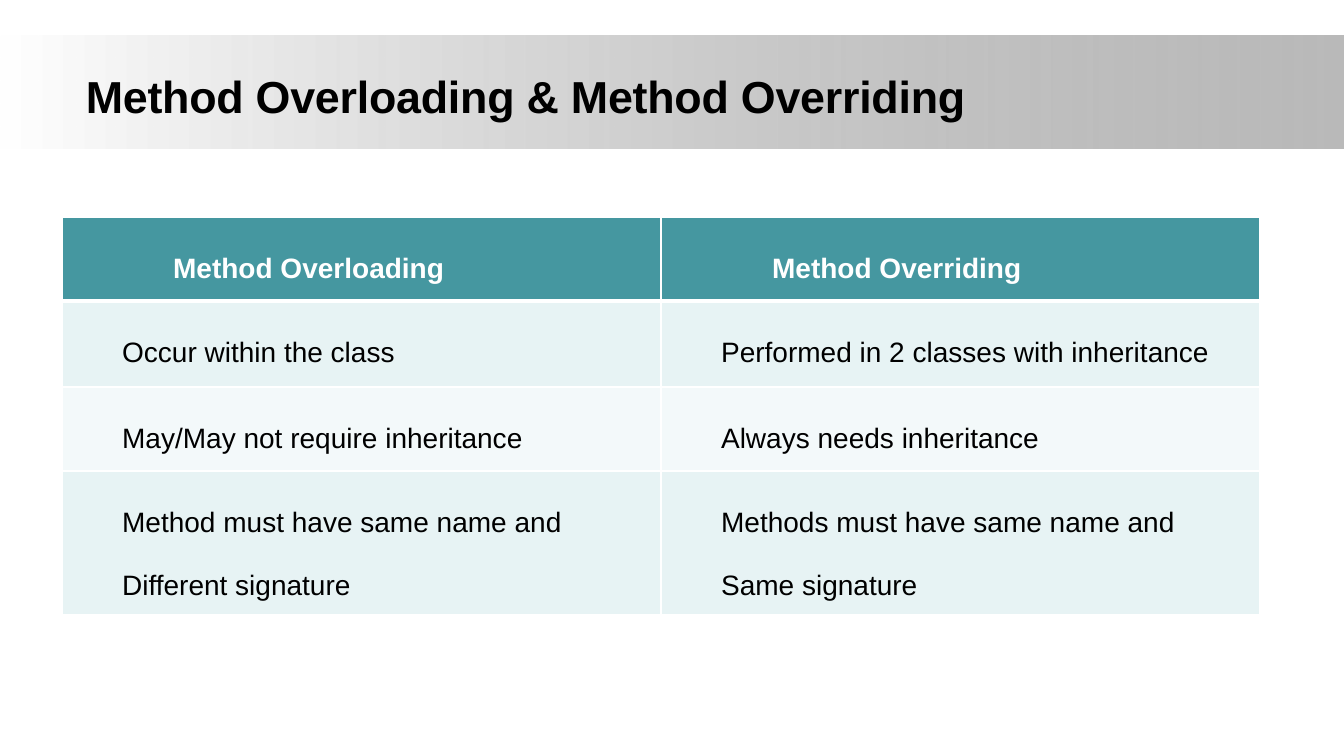
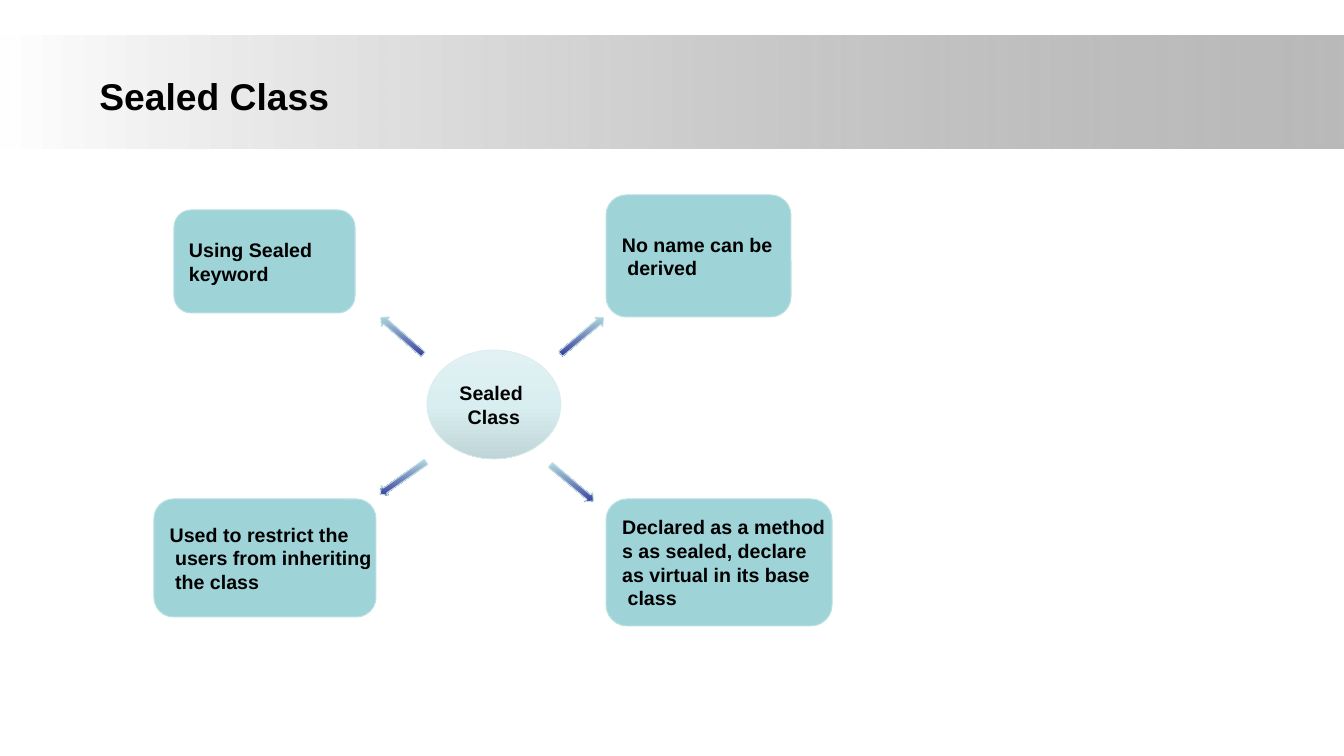
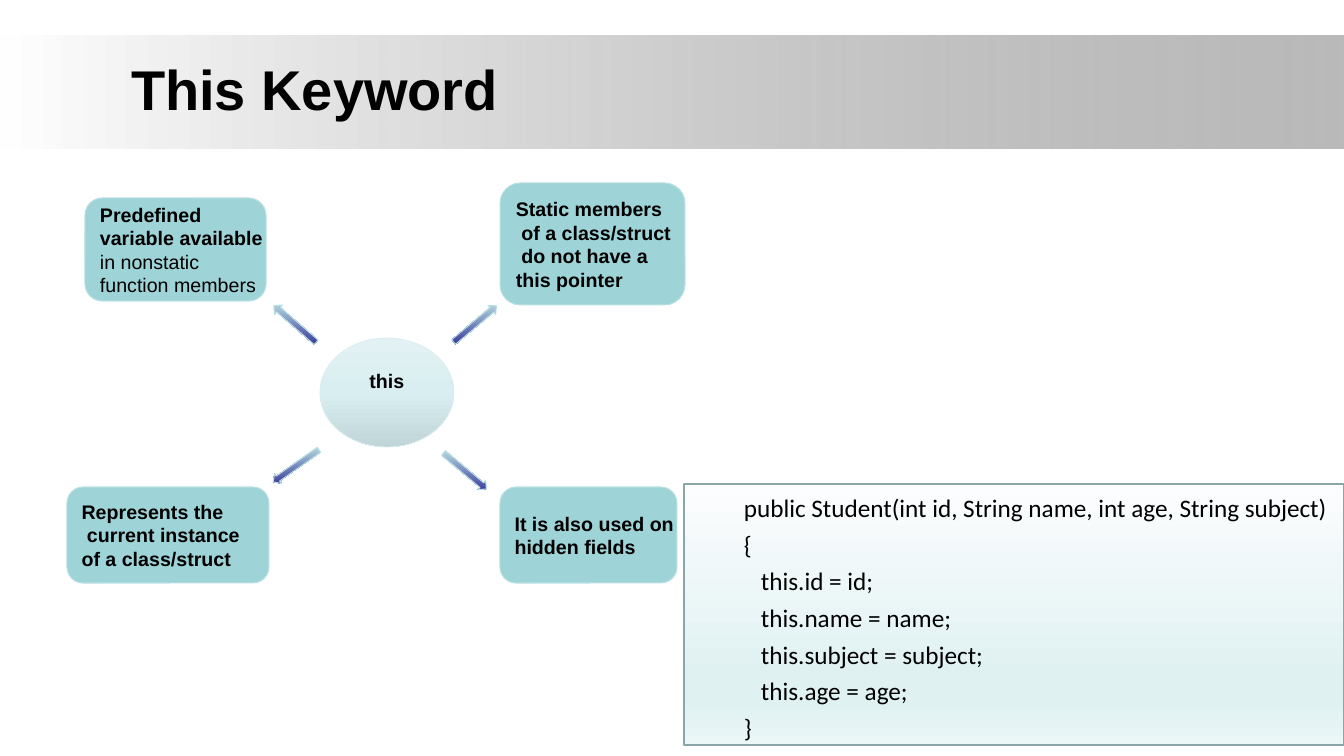
"""Builds three slides on method overloading, sealed classes and the this keyword."""
from dataclasses import dataclass

from lxml import etree
from pptx import Presentation
from pptx import util as u
from pptx.dml.color import RGBColor
from pptx.enum import shapes, text
from pptx.oxml import ns

PX = 9071


@dataclass(frozen=True)
class Theme:
    font: str = "Arial"
    code_font: str = "Calibri"
    ink: str = "000000"
    white: str = "FFFFFF"
    header: str = "4597A0"
    rows: tuple = ("E7F3F4", "F3F9FA")
    box: str = "9ED3D7"
    edge: str = "BBE0E3"
    hub_edge: str = "DAEDEF"
    code_edge: str = "8AA6A8"
    band: tuple = ((0, "FFFFFF", 100), (100, "808080", 54))
    hub: tuple = ((0, "E2F1F3", 100), (50, "D9EEF0", 100), (100, "BFD5D7", 100))
    arrow: tuple = ((0, "BBE0E3", 100), (100, "333399", 100))
    code: tuple = ((0, "FCFDFE", 100), (74, "E0F1F2", 100),
                   (83, "E0F1F2", 100), (100, "EBF6F7", 100))
    table_size: int = 20
    label_size: int = 14
    code_size: int = 18


theme = Theme()


def paint(shape, fill, edge=None, width=0.75, angle=270):
    """Fill a shape with a colour or gradient stops and set its outline."""
    shape.shadow.inherit = False
    if isinstance(fill, str):
        shape.fill.solid()
        shape.fill.fore_color.rgb = RGBColor.from_string(fill)
    else:
        shape.fill.gradient()
        shape.fill.gradient_angle = angle
        gradient = shape.element.spPr.find(ns.qn("a:gradFill"))
        gradient.set("rotWithShape", "0")
        stops = gradient.find(ns.qn("a:gsLst"))
        for old in list(stops):
            stops.remove(old)
        for position, color, opacity in fill:
            stop = etree.SubElement(stops, ns.qn("a:gs"), pos=str(position * 1000))
            value = etree.SubElement(stop, ns.qn("a:srgbClr"), val=color)
            if opacity < 100:
                etree.SubElement(value, ns.qn("a:alpha"), val=str(opacity * 1000))
    if edge:
        shape.line.color.rgb = RGBColor.from_string(edge)
        shape.line.width = u.Pt(width)
    else:
        shape.line.fill.background()


def write(frame, words, size, color=theme.ink, bold=True, font=theme.font,
          align=text.PP_ALIGN.LEFT, indent=0, spacing=None):
    """Put text into a frame and format every paragraph alike."""
    frame.text = words
    for para in frame.paragraphs:
        para.alignment = align
        if spacing:
            para.line_spacing = spacing
        if indent:
            para._p.get_or_add_pPr().set("marL", str(indent * PX))
        for span in para.runs:
            span.font.name = font
            span.font.size = u.Pt(size)
            span.font.bold = bold
            span.font.color.rgb = RGBColor.from_string(color)


deck = Presentation()
deck.slide_width, deck.slide_height = 1344 * PX, 756 * PX
layout = deck.slide_layouts[5]

titles = (
    ("Method Overloading & Method Overriding", 32, (62, 68, 927, 55)),
    ("Sealed Class", 26.6, (87, 56, 255, 79)),
    ("This Keyword", 40, (85, 37, 459, 103)),
)
pages = []
for words, size, place in titles:
    page = deck.slides.add_slide(layout)
    title = page.shapes.title
    title.left, title.top, title.width, title.height = [n * PX for n in place]
    frame = title.text_frame
    frame.auto_size = text.MSO_AUTO_SIZE.NONE
    frame.vertical_anchor = text.MSO_ANCHOR.MIDDLE
    frame.margin_left = frame.margin_right = frame.margin_top = frame.margin_bottom = 0
    write(frame, words, size, align=text.PP_ALIGN.CENTER)
    pages.append(page)
table_page, sealed_page, this_page = pages

heading = table_page.shapes.title.text_frame.paragraphs[0]
heading.space_before = u.Pt(1)
heading.runs[0]._r.get_or_add_rPr().set("spc", "-20")

band = table_page.shapes.add_shape(shapes.MSO_SHAPE.RECTANGLE, 0, 36 * PX, 1344 * PX, 113 * PX)
paint(band, theme.band, angle=0)
layout.placeholders[0].element.addprevious(band.element)

comparison = (
    ("Method Overloading", "Method Overriding"),
    ("Occur within the class", "Performed in 2 classes with inheritance"),
    ("May/May not require inheritance", "Always needs inheritance"),
    ("Method must have same name and Different signature",
     "Methods must have same name and Same signature"),
)
table = table_page.shapes.add_table(4, 2, 62 * PX, 217 * PX, 1198 * PX, 398 * PX).table
for row, height in zip(table.rows, (84, 86, 84, 144)):
    row.height = height * PX
for r, entries in enumerate(comparison):
    is_header = r == 0
    for c, words in enumerate(entries):
        cell = table.cell(r, c)
        write(cell.text_frame, words, theme.table_size, bold=is_header,
              color=theme.white if is_header else theme.ink,
              indent=101 if is_header else 50, spacing=2.0)
        properties = cell._tc.get_or_add_tcPr()
        for side, points in (("lnL", 1), ("lnR", 1), ("lnB", 3 if is_header else 1)):
            border = etree.SubElement(properties, ns.qn("a:" + side), w=str(u.Pt(points)))
            solid = etree.SubElement(border, ns.qn("a:solidFill"))
            etree.SubElement(solid, ns.qn("a:srgbClr"), val=theme.white)
        cell.fill.solid()
        cell.fill.fore_color.rgb = RGBColor.from_string(
            theme.header if is_header else theme.rows[(r - 1) % 2])

code_box = this_page.shapes.add_shape(
    shapes.MSO_SHAPE.RECTANGLE, 684 * PX, 484 * PX, 660 * PX, 261 * PX)
paint(code_box, theme.code, theme.code_edge, 1)
code_box.text_frame.word_wrap = True
code_lines = (
    "public Student(int id, String name, int age, String subject)", "{",
    "this.id = id;", "this.name = name;", "this.subject = subject;", "this.age = age;", "}",
)
write(code_box.text_frame, "\n".join(code_lines), theme.code_size, bold=False,
      font=theme.code_font, indent=50, spacing=1.2)
for para in code_box.text_frame.paragraphs:
    para.space_before = u.Pt(0.2)
    if para.text.startswith("this."):
        para._p.get_or_add_pPr().set("marL", str(67 * PX))

diagrams = (
    (sealed_page, (494, 404), "Sealed \nClass", 5, (
        ((174, 210, 181, 103), "Using Sealed\nkeyword"),
        ((606, 195, 185, 122), "No name can be\n derived"),
        ((606, 499, 226, 127),
         "Declared as a method\ns as sealed, declare\nas virtual in its base\n class"),
        ((154, 499, 222, 118), "Used to restrict the\n users from inheriting\n the class"),
    )),
    (this_page, (387, 392), "this", 28, (
        ((85, 198, 181, 103), "Predefined\nvariable available\nin nonstatic\nfunction members"),
        ((500, 183, 185, 122),
         "Static members\n of a class/struct\n do not have a\nthis pointer"),
        ((500, 487, 177, 96), "It is also used on\nhidden fields"),
        ((67, 487, 202, 96), "Represents the\n current instance\nof a class/struct"),
    )),
)
light_lines = ("in nonstatic", "function members")
arrows = ((-91, 74, 55), (88, -68, 230), (78, 79, 310), (-92, -68, 131))
for page, (x, y), hub_words, hub_margin, boxes in diagrams:
    for place, words in boxes:
        box = page.shapes.add_shape(
            shapes.MSO_SHAPE.ROUNDED_RECTANGLE, *[n * PX for n in place])
        paint(box, theme.box, theme.edge)
        box.text_frame.word_wrap = False
        write(box.text_frame, words, theme.label_size)
        for para in box.text_frame.paragraphs:
            if para.text in light_lines:
                para.runs[0].font.bold = False
    hub = page.shapes.add_shape(
        shapes.MSO_SHAPE.OVAL, (x - 67) * PX, (y - 54) * PX, 134 * PX, 109 * PX)
    paint(hub, theme.hub, theme.hub_edge, 0.5)
    hub.text_frame.word_wrap = False
    hub.text_frame.margin_bottom = hub_margin * PX
    write(hub.text_frame, hub_words, theme.label_size, align=text.PP_ALIGN.CENTER)
    for dx, dy, turn in arrows:
        arrow = page.shapes.add_shape(
            shapes.MSO_SHAPE.DOWN_ARROW, (x + dx - 6) * PX, (y + dy - 28) * PX, 12 * PX, 56 * PX)
        arrow.rotation = turn
        paint(arrow, theme.arrow, theme.edge)

deck.save("out.pptx")
